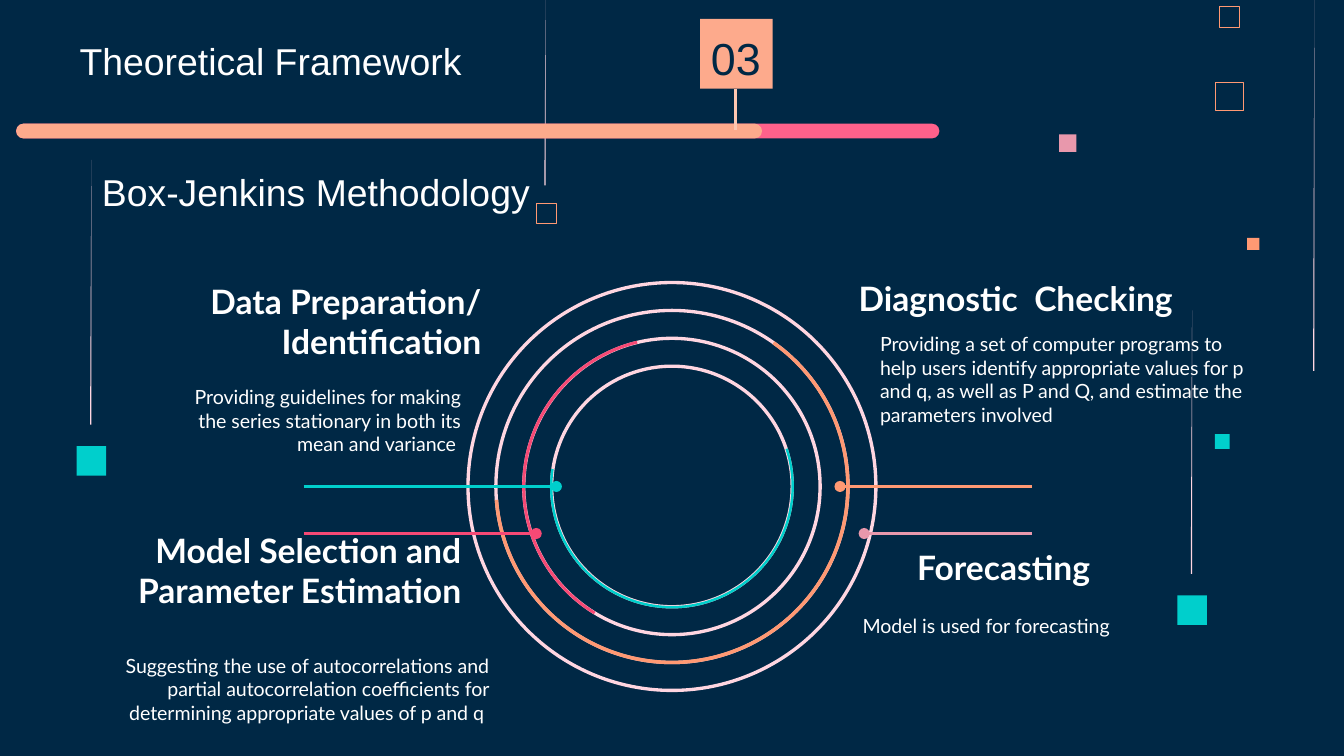
from lxml.etree import SubElement
from pptx import Presentation
from pptx.dml.color import RGBColor
from pptx.enum.shapes import MSO_CONNECTOR, MSO_SHAPE
from pptx.enum.text import MSO_ANCHOR, PP_ALIGN
from pptx.oxml.ns import qn
from pptx.util import Inches, Pt


class Theme:
    navy = RGBColor.from_string("002845")
    white = RGBColor.from_string("FFFFFF")
    peach = RGBColor.from_string("FDAA8C")
    pale_peach = RGBColor.from_string("FEC7B2")
    orange = RGBColor.from_string("FF9973")
    pink = RGBColor.from_string("FF618B")
    crimson = RGBColor.from_string("F64975")
    rose = RGBColor.from_string("E898AC")
    blush = RGBColor.from_string("FFD6E1")
    teal = RGBColor.from_string("00CFCC")
    title_font, body_font = "Arial", "Lato"
    number_size, title_size = Pt(24), Pt(20)
    heading_size, body_size = Pt(18), Pt(10.5)


# Widescreen slide, 16:9
prs = Presentation()
prs.slide_width, prs.slide_height = Inches(10), Inches(10 * 9 / 16)
slide = prs.slides.add_slide(prs.slide_layouts[6])
slide.background.fill.solid()
slide.background.fill.fore_color.rgb = Theme.navy


def add_figure(kind, left, top, width, height, fill=None, outline=None, weight=0):
    figure = slide.shapes.add_shape(
        kind, Inches(left), Inches(top), Inches(width), Inches(height))
    figure.shadow.inherit = False
    if fill is None:
        figure.fill.background()
    else:
        figure.fill.solid()
        figure.fill.fore_color.rgb = fill
    if outline is None:
        figure.line.fill.background()
    else:
        figure.line.color.rgb = outline
        figure.line.width = Pt(weight)
    return figure


def add_text(words, left, top, width, height, align, font, size,
             color=Theme.white, bold=False, anchor=MSO_ANCHOR.BOTTOM):
    frame = slide.shapes.add_textbox(
        Inches(left), Inches(top), Inches(width), Inches(height)).text_frame
    frame.word_wrap = True
    frame.vertical_anchor = anchor
    frame.margin_left = frame.margin_right = Inches(0.1)
    frame.margin_top = frame.margin_bottom = Inches(0.1)
    paragraph = frame.paragraphs[0]
    paragraph.alignment = align
    run = paragraph.add_run()
    run.text = words
    run.font.name, run.font.size, run.font.bold = font, size, bold
    run.font.color.rgb = color


# Scattered squares, solid and outlined
for left, top, side, color in [
    (7.88, 1, 0.13, Theme.rose),
    (9.04, 3.23, 0.11, Theme.teal),
    (9.28, 1.77, 0.09, Theme.orange),
    (8.76, 4.43, 0.22, Theme.teal),
    (0.57, 3.32, 0.22, Theme.teal),
]:
    add_figure(MSO_SHAPE.RECTANGLE, left, top, side, side, color)
for left, top, side, weight in [
    (9.04, 0.61, 0.21, 0.45), (9.07, 0.05, 0.15, 0.32), (3.99, 1.51, 0.15, 0.32),
]:
    add_figure(MSO_SHAPE.RECTANGLE, left, top, side, side,
               outline=Theme.orange, weight=weight)

# Vertical slivers, pointed at the top
for left, top, bottom in [
    (4.05, 0, 1.38), (9.77, 0, 2.76), (8.86, 2.31, 4.27), (0.67, 1.19, 3.16),
]:
    right = left + 0.01
    builder = slide.shapes.build_freeform(Inches(right), Inches(top))
    builder.add_line_segments(
        [(Inches(left), Inches(bottom)), (Inches(right), Inches(bottom))], close=True)
    sliver = builder.convert_to_shape()
    sliver.shadow.inherit = False
    sliver.fill.solid()
    sliver.fill.fore_color.rgb = Theme.blush
    sliver.line.fill.background()

# Section number tile and progress bar
add_figure(MSO_SHAPE.RECTANGLE, 5.21, 0.14, 0.54, 0.52, Theme.peach)
for length, color in [(6.87, Theme.pink), (5.55, Theme.peach)]:
    bar = add_figure(MSO_SHAPE.ROUNDED_RECTANGLE, 0.12, 0.92, length, 0.11, color)
    bar.adjustments[0] = 0.5

# Concentric rings
center_x, center_y, band = 5, 3.62, 0.025
diameters = [3.06 - 0.415 * step for step in range(4)]
for diameter in diameters:
    ring = add_figure(MSO_SHAPE.DONUT, center_x - diameter / 2,
                      center_y - diameter / 2, diameter, diameter, Theme.blush)
    ring.adjustments[0] = band / diameter

# Coloured arcs on the three inner rings; one degree is 0.6 of an adjustment
for diameter, start, end, rotation, color in zip(
    diameters[1:], (305.23, 40.21, 328.69), (175.64, 175.17, 175.17),
    (0, 81.2, 13.1), (Theme.orange, Theme.crimson, Theme.teal),
):
    arc = add_figure(MSO_SHAPE.BLOCK_ARC, center_x - diameter / 2,
                     center_y - diameter / 2, diameter, diameter, color)
    arc.rotation = rotation
    arc.adjustments[0] = start * 0.6
    arc.adjustments[1] = end * 0.6
    arc.adjustments[2] = 0.01

# Number stem and ring pointers
for x1, y1, x2, y2, color, dotted in [
    (5.47, 0.66, 5.47, 0.97, Theme.pale_peach, False),
    (2.26, 3.62, 4.14, 3.62, Theme.teal, True),
    (2.26, 3.97, 3.99, 3.97, Theme.crimson, True),
    (7.68, 3.62, 6.25, 3.62, Theme.orange, True),
    (7.68, 3.97, 6.43, 3.97, Theme.rose, True),
]:
    pointer = slide.shapes.add_connector(
        MSO_CONNECTOR.STRAIGHT, Inches(x1), Inches(y1), Inches(x2), Inches(y2))
    pointer.line.color.rgb = color
    pointer.line.width = Pt(1.5)
    if dotted:
        SubElement(pointer.line._get_or_add_ln(), qn("a:tailEnd"), type="oval")
    SubElement(pointer._element.spPr, qn("a:effectLst"))

# Titles and section number
add_text("Theoretical Framework", 0.12, 0.22, 3.79, 0.5, PP_ALIGN.CENTER,
         Theme.title_font, Theme.title_size)
add_text("03", 4.94, 0.18, 1.07, 0.5, PP_ALIGN.CENTER, Theme.title_font,
         Theme.number_size, color=Theme.navy, anchor=MSO_ANCHOR.MIDDLE)
add_text("Box-Jenkins Methodology", 0.66, 1.02, 8.06, 0.67, PP_ALIGN.LEFT,
         Theme.title_font, Theme.title_size)

# Stage headings
for heading, left, top, width, align in [
    ("Data Preparation/ Identification", 0.39, 2.08, 3.29, PP_ALIGN.RIGHT),
    ("Model Selection and Parameter Estimation", 0.54, 3.93, 2.99, PP_ALIGN.RIGHT),
    ("Diagnostic  Checking", 6.29, 1.76, 3.5, PP_ALIGN.LEFT),
    ("Forecasting", 5.57, 3.76, 2.64, PP_ALIGN.RIGHT),
]:
    add_text(heading, left, top, width, 0.71, align, Theme.body_font,
             Theme.heading_size, bold=True)

# Stage descriptions
for description, left, top, width, height, align in [
    ("Providing guidelines for making the series stationary in both its mean "
     "and variance ", 1.31, 2.78, 2.22, 0.71, PP_ALIGN.RIGHT),
    ("Suggesting the use of autocorrelations and partial autocorrelation "
     "coefficients for determining appropriate values of p and q ",
     0.79, 4.78, 2.95, 0.71, PP_ALIGN.RIGHT),
    ("Providing a set of computer programs to help users identify appropriate "
     "values for p and q, as well as P and Q, and estimate the parameters involved",
     6.45, 2.11, 2.94, 1.16, PP_ALIGN.LEFT),
    ("Model is used for forecasting", 6.32, 4.46, 2.94, 0.37, PP_ALIGN.LEFT),
]:
    add_text(description, left, top, width, height, align, Theme.body_font,
             Theme.body_size)

prs.save("out.pptx")
